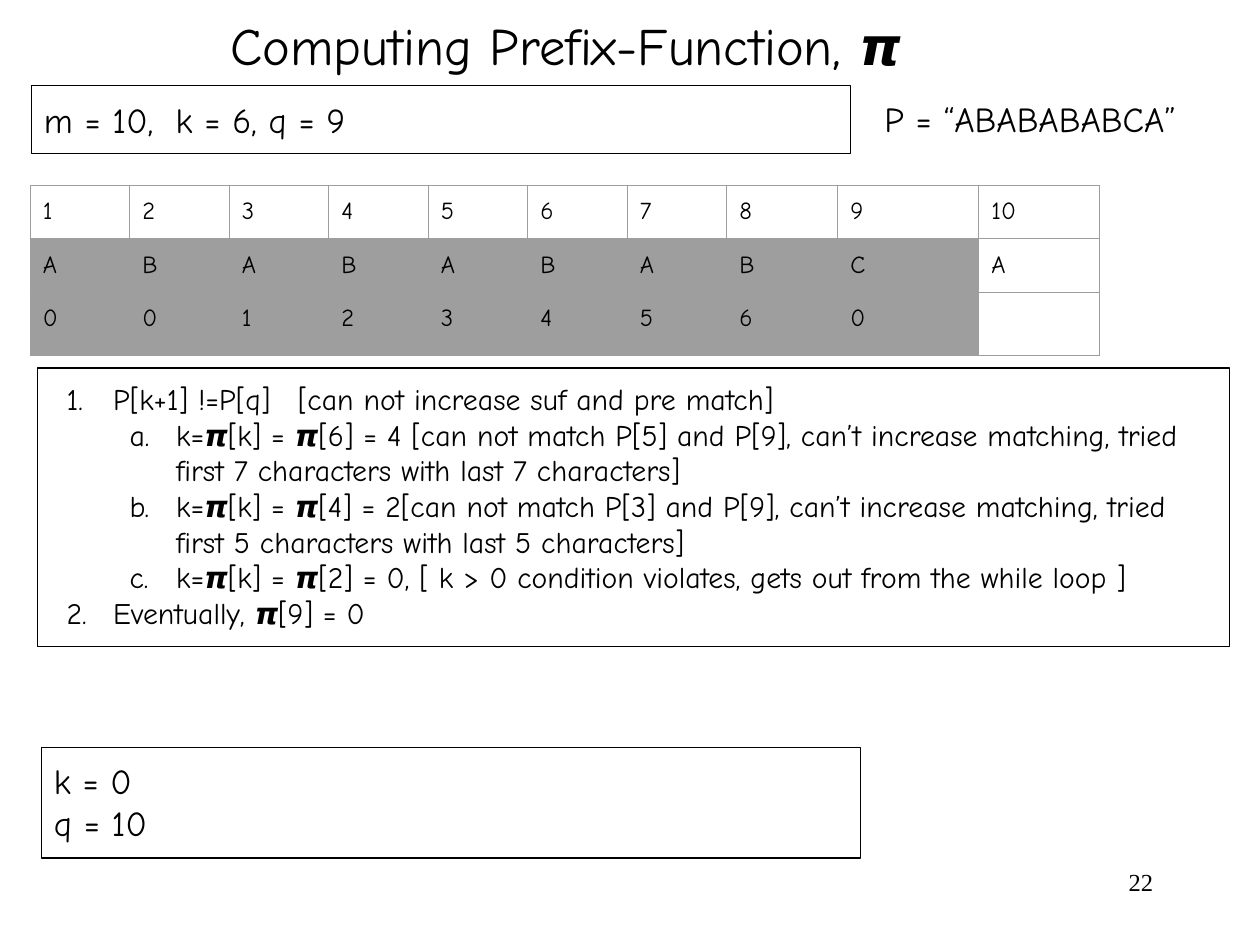
"""Build the slide that steps through the prefix function at q = 9."""
from dataclasses import dataclass

from lxml.etree import SubElement
from pptx import Presentation
from pptx.dml.color import RGBColor
from pptx.enum.shapes import MSO_SHAPE
from pptx.enum.text import MSO_ANCHOR, MSO_AUTO_SIZE, PP_ALIGN
from pptx.oxml.ns import qn
from pptx.util import Inches, Pt

COLORS = {"ink": "000000", "paper": "FFFFFF", "grid": "9E9E9E"}
BODY_FONT = "Comic Neue"
NUMBERING = ("arabicPeriod", "alphaLcPeriod")


@dataclass(frozen=True)
class Run:
    """A piece of text, with extra letter spacing in points."""
    text: str
    spacing: float = 0


@dataclass(frozen=True)
class Line:
    """A paragraph, numbered when it has a level."""
    runs: tuple[Run, ...]
    level: int | None = None


@dataclass(frozen=True)
class Panel:
    """A block of text, framed or plain."""
    left: float
    top: float
    width: float
    height: float
    size: float
    lines: tuple[Line, ...]
    framed: bool = False
    align: PP_ALIGN = PP_ALIGN.LEFT
    font: str = BODY_FONT
    inset: float = 0.1
    grows: bool = True


def line(text: str, level: int | None = None) -> Line:
    """Make a paragraph of one run."""
    return Line((Run(text),), level)


PANELS = (
    Panel(7.17, 6.83, 2.08, 0.5, 14, (line("22"),), align=PP_ALIGN.RIGHT,
          font="Times New Roman", inset=0.05, grows=False),
    Panel(0, 0, 8.98, 0.71, 30, (line("Computing Prefix-Function, 𝞹"),), align=PP_ALIGN.CENTER),
    Panel(0.25, 0.68, 6.5, 0.54, 20,
          (Line((Run("m = 10,"), Run(" ", 6), Run("k = 6, q = 9"))),), framed=True),
    Panel(6.92, 0.67, 2.84, 0.54, 20, (line("P = “ABABABABCA”"),)),
    Panel(0.3, 2.92, 9.46, 2.21, 17, (
        Line((Run("P[k+1] !=P[q]"), Run(" ", 10),
              Run("[can not increase suf and pre match]")), 0),
        line("k=𝞹[k] = 𝞹[6] = 4 [can not match P[5] and P[9], can’t increase matching, "
             "tried first 7 characters with last 7 characters]", 1),
        line("k=𝞹[k] = 𝞹[4] = 2[can not match P[3] and P[9], can’t increase matching, "
             "tried first 5 characters with last 5 characters]", 1),
        line("k=𝞹[k] = 𝞹[2] = 0, [ k > 0 condition violates, gets out from the while loop ]", 1),
        line("Eventually, 𝞹[9] = 0", 0),
    ), framed=True),
    Panel(0.33, 5.93, 6.5, 0.88, 20, (line("k = 0"), line("q = 10")), framed=True),
)

PREFIX_ROWS = (
    tuple(str(position) for position in range(1, 11)),
    tuple("ABABABABCA"),
    tuple("001234560") + ("",),
)
COLUMN_WIDTHS = (0.79,) * 7 + (0.88, 1.12, 0.96)
ROW_HEIGHT = 0.42


def color(name: str) -> RGBColor:
    """Look up a named colour."""
    return RGBColor.from_string(COLORS[name])


def set_insets(target, horizontal: float, vertical: float) -> None:
    """Set the inner margins of a text frame or cell."""
    target.margin_left = target.margin_right = Inches(horizontal)
    target.margin_top = target.margin_bottom = Inches(vertical)


def add_run(paragraph, piece: Run, size: float, font: str = BODY_FONT) -> None:
    """Append one styled run."""
    run = paragraph.add_run()
    run.text = piece.text
    run.font.size = Pt(size)
    run.font.name = font
    run.font.color.rgb = color("ink")
    if piece.spacing:
        run.font._element.set("spc", str(round(piece.spacing * 100)))


def number_paragraph(paragraph, level: int) -> None:
    """Give a paragraph automatic numbering and a hanging indent."""
    paragraph.level = level
    properties = paragraph._p.get_or_add_pPr()
    properties.set("marL", str(Inches(0.5 * (level + 1))))
    properties.set("indent", str(Inches(-0.37)))
    bullet_color = SubElement(properties, qn("a:buClr"))
    SubElement(bullet_color, qn("a:srgbClr"), val=COLORS["ink"])
    SubElement(properties, qn("a:buFont"), typeface=BODY_FONT)
    SubElement(properties, qn("a:buAutoNum"), type=NUMBERING[level])


def draw_panel(slide, panel: Panel) -> None:
    """Draw a framed or plain block of text."""
    bounds = [Inches(n) for n in (panel.left, panel.top, panel.width, panel.height)]
    if panel.framed:
        block = slide.shapes.add_shape(MSO_SHAPE.RECTANGLE, *bounds)
        block.shadow.inherit = False
        block.fill.background()
        block.line.color.rgb = color("ink")
        block.line.width = Pt(0.75)
    else:
        block = slide.shapes.add_textbox(*bounds)
    frame = block.text_frame
    frame.word_wrap = True
    frame.auto_size = MSO_AUTO_SIZE.SHAPE_TO_FIT_TEXT if panel.grows else MSO_AUTO_SIZE.NONE
    frame.vertical_anchor = MSO_ANCHOR.TOP
    set_insets(frame, 0.1, panel.inset)
    for index, entry in enumerate(panel.lines):
        paragraph = frame.add_paragraph() if index else frame.paragraphs[0]
        paragraph.alignment = panel.align
        if entry.level is not None:
            number_paragraph(paragraph, entry.level)
        for piece in entry.runs:
            add_run(paragraph, piece, panel.size, panel.font)


def border_cell(cell) -> None:
    """Draw thin grid lines on all four sides of a cell."""
    properties = cell._tc.get_or_add_tcPr()
    for index, side in enumerate(("lnL", "lnR", "lnT", "lnB")):
        edge = properties.makeelement(qn(f"a:{side}"), {"w": str(Pt(0.75))})
        fill = SubElement(edge, qn("a:solidFill"))
        SubElement(fill, qn("a:srgbClr"), val=COLORS["grid"])
        properties.insert(index, edge)


def draw_prefix_table(slide) -> None:
    """Draw positions, pattern and prefix values, shading the finished columns."""
    table = slide.shapes.add_table(
        len(PREFIX_ROWS), len(COLUMN_WIDTHS), Inches(0.24), Inches(1.47),
        Inches(sum(COLUMN_WIDTHS)), Inches(ROW_HEIGHT * len(PREFIX_ROWS))).table
    table.first_row = table.horz_banding = False
    for column, width in zip(table.columns, COLUMN_WIDTHS):
        column.width = Inches(width)
    for row_index, values in enumerate(PREFIX_ROWS):
        table.rows[row_index].height = Inches(ROW_HEIGHT)
        for column_index, value in enumerate(values):
            cell = table.cell(row_index, column_index)
            set_insets(cell, 0.1, 0.1)
            finished = row_index > 0 and column_index < 9
            cell.fill.solid()
            cell.fill.fore_color.rgb = color("grid" if finished else "paper")
            border_cell(cell)
            if value:
                add_run(cell.text_frame.paragraphs[0], Run(value), 14)


def main() -> None:
    """Assemble and save the slide."""
    presentation = Presentation()
    presentation.slide_width = Inches(10)
    presentation.slide_height = Inches(7.5)
    slide = presentation.slides.add_slide(presentation.slide_layouts[6])
    draw_prefix_table(slide)
    for panel in PANELS:
        draw_panel(slide, panel)
    presentation.save("out.pptx")


if __name__ == "__main__":
    main()
